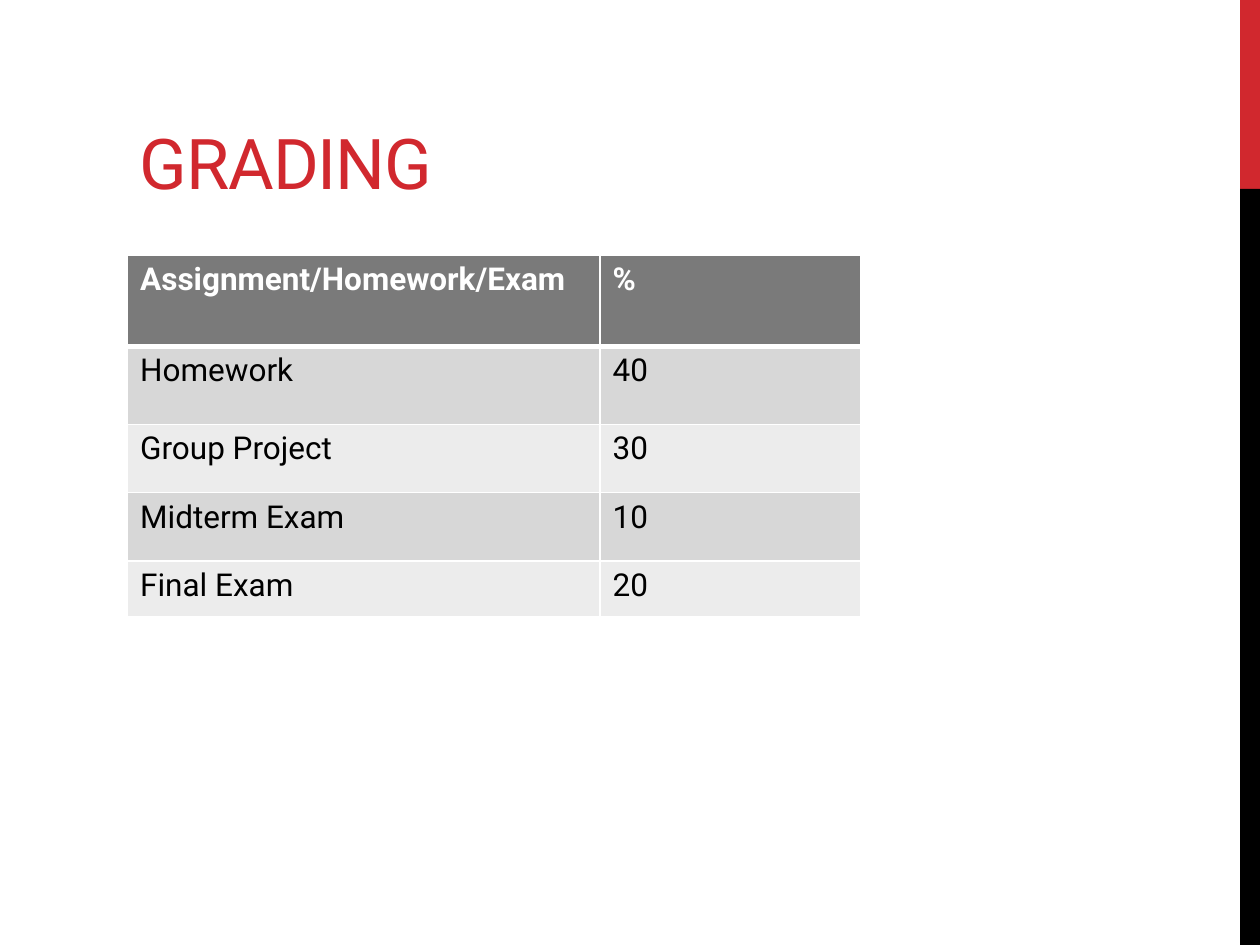
from lxml import etree
from pptx import Presentation
from pptx.dml.color import RGBColor
from pptx.enum import shapes, text
from pptx.oxml.ns import qn
from pptx.util import Pt

RED = RGBColor(0xD1, 0x28, 0x2E)
BLACK = RGBColor(0, 0, 0)
WHITE = RGBColor(255, 255, 255)
HEADER_GRAY = RGBColor(0x7A, 0x7A, 0x7A)
BAND_GRAYS = (RGBColor(0xD7, 0xD7, 0xD7), RGBColor(0xEC, 0xEC, 0xEC))
FONT = "Roboto"

SLIDE_WIDTH, SLIDE_HEIGHT = 720, 540
CONTENT_LEFT, CONTENT_WIDTH = 72.9, 419
STRIPE_WIDTH = 11.4

GRADES = [
    ("Assignment/Homework/Exam", "%"),
    ("Homework", "40"),
    ("Group Project", "30"),
    ("Midterm Exam", "10"),
    ("Final Exam", "20"),
]
ROW_HEIGHTS = (52.4, 44.6, 39, 39, 31.7)
FIRST_COLUMN_WIDTH = 270


def format_run(run, size, color, bold=False):
    run.font.name = FONT
    run.font.size = Pt(size)
    run.font.color.rgb = color
    run.font.bold = bold


def add_side_stripe(slide, left, top, width, height):
    """Stripe whose top fifth is red and the rest black."""
    red_height = height / 5
    parts = ((top, red_height, RED), (top + red_height, height - red_height, BLACK))
    for part_top, part_height, color in parts:
        shape = slide.shapes.add_shape(
            shapes.MSO_SHAPE.RECTANGLE, Pt(left), Pt(part_top), Pt(width), Pt(part_height))
        shape.shadow.inherit = False
        shape.fill.solid()
        shape.fill.fore_color.rgb = color
        shape.line.fill.background()


def add_title(slide, title, left, top, width, height):
    box = slide.shapes.add_textbox(Pt(left), Pt(top), Pt(width), Pt(height))
    frame = box.text_frame
    frame.word_wrap = True
    frame.vertical_anchor = text.MSO_ANCHOR.BOTTOM
    frame.text = title
    run = frame.paragraphs[0].runs[0]
    format_run(run, 40, RED)
    run.font._element.set("spc", "-60")


def set_borders(cell, **widths):
    """Draw white borders; the sides come in the order L, R, T, B."""
    properties = cell._tc.get_or_add_tcPr()
    for position, (side, width) in enumerate(widths.items()):
        line = etree.Element(qn(f"a:ln{side}"), w=str(Pt(width)))
        fill = etree.SubElement(line, qn("a:solidFill"))
        etree.SubElement(fill, qn("a:srgbClr"), val=str(WHITE))
        properties.insert(position, line)


def add_grade_table(slide, left, top, width):
    table = slide.shapes.add_table(
        len(GRADES), 2, Pt(left), Pt(top), Pt(width), Pt(sum(ROW_HEIGHTS))).table
    table.columns[0].width = Pt(FIRST_COLUMN_WIDTH)
    table.columns[1].width = Pt(width - FIRST_COLUMN_WIDTH)
    for row, (values, height) in enumerate(zip(GRADES, ROW_HEIGHTS)):
        table.rows[row].height = Pt(height)
        is_header = row == 0
        for column, value in enumerate(values):
            cell = table.cell(row, column)
            cell.text = value
            format_run(cell.text_frame.paragraphs[0].runs[0], 18,
                       WHITE if is_header else BLACK, is_header)
            cell.fill.solid()
            cell.fill.fore_color.rgb = HEADER_GRAY if is_header else BAND_GRAYS[(row - 1) % 2]
            set_borders(cell, L=1, R=1, T=3 if row == 1 else 1, B=3 if is_header else 1)


def main():
    presentation = Presentation()
    presentation.slide_width, presentation.slide_height = Pt(SLIDE_WIDTH), Pt(SLIDE_HEIGHT)
    slide = presentation.slides.add_slide(presentation.slide_layouts[6])
    add_side_stripe(slide, SLIDE_WIDTH - STRIPE_WIDTH, 0, STRIPE_WIDTH, SLIDE_HEIGHT)
    add_title(slide, "GRADING", CONTENT_LEFT, 12, CONTENT_WIDTH, 108)
    add_grade_table(slide, CONTENT_LEFT, 145.6, CONTENT_WIDTH)
    presentation.save("out.pptx")


if __name__ == "__main__":
    main()
